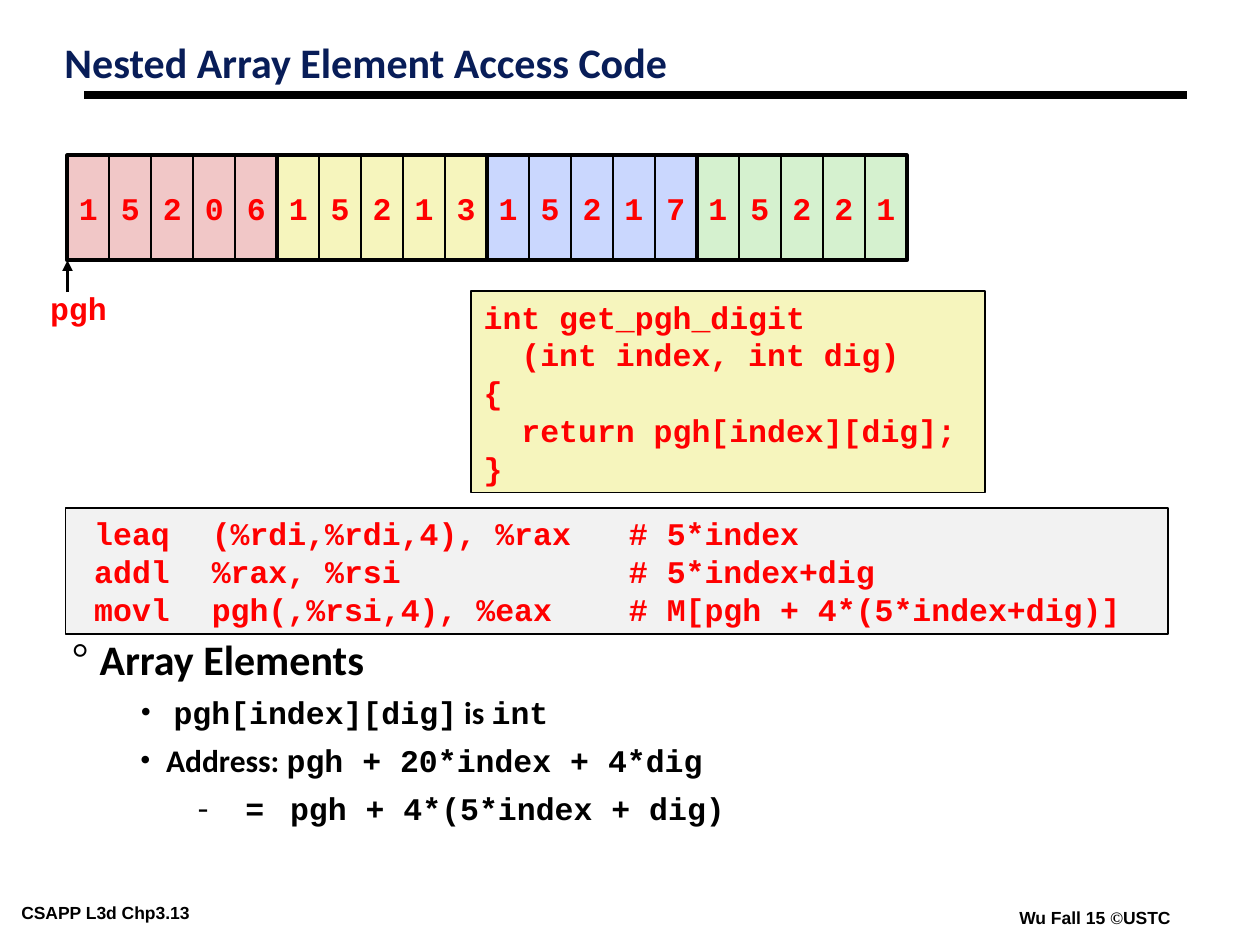
from lxml.etree import SubElement
from pptx import Presentation
from pptx.dml.color import RGBColor
from pptx.enum.shapes import MSO_CONNECTOR as Line, MSO_SHAPE as Shape
from pptx.enum.text import MSO_ANCHOR as Anchor, PP_ALIGN as Align
from pptx.oxml.ns import qn
from pptx.util import Cm, Pt

BLACK = RGBColor(0x00, 0x00, 0x00)
NAVY = RGBColor(0x08, 0x1D, 0x58)
RED = RGBColor(0xFF, 0x00, 0x00)
PINK = RGBColor(0xF1, 0xC7, 0xC7)
YELLOW = RGBColor(0xF6, 0xF5, 0xBD)
BLUE = RGBColor(0xCA, 0xD7, 0xFE)
GREEN = RGBColor(0xD5, 0xF1, 0xCF)
GRAY = RGBColor(0xF2, 0xF2, 0xF2)
MONO, SANS, ARIAL, SERIF = "Courier New", "Calibri", "Arial", "Times New Roman"

TITLE = "Nested Array Element Access Code"
ROWS = [("15206", PINK), ("15213", YELLOW), ("15217", BLUE), ("15221", GREEN)]
C_CODE = [
    "int get_pgh_digit",
    "  (int index, int dig)",
    "{",
    "  return pgh[index][dig];",
    "}",
]
ASM = [
    ("leaq", "(%rdi,%rdi,4), %rax", "# 5*index"),
    ("addl", "%rax, %rsi", "# 5*index+dig"),
    ("movl", "pgh(,%rsi,4), %eax", "# M[pgh + 4*(5*index+dig)]"),
]
ASM_TABS = [0.33, 2.7, 11.11]
# bullet, margin, hanging indent, line spacing, space before, size, runs
NOTES = [
    ("°", 0.56, 0.56, 0.75, 0, 24, [("Array Elements", SANS)]),
    ("•", 2.05, 0.67, 0.85, 9, 18,
     [("pgh[index][dig]", MONO), (" is ", SANS), ("int", MONO)]),
    ("•", 1.9, 0.53, 0.85, 9, 18,
     [("Address: ", SANS), ("pgh + 20*index + 4*dig", MONO)]),
    ("-", 3.5, 0.96, 0.85, 9, 18,
     [("= ", ARIAL), ("pgh + 4*(5*index + dig)", MONO)]),
]
FOOTERS = [
    (0.25, 18.11, 5.16, [("CSAPP L3d Chp3.13", ARIAL)]),
    (20.37, 18.21, 3.51, [("Wu Fall 15 ", ARIAL), ("©", SERIF), ("USTC", ARIAL)]),
]

LEFT, TOP, HIGH = 1.36, 3.13, 2.12
ROW_W = 4.23


def style(para, size, color, name=None):
    font = para.font
    font.size, font.bold, font.color.rgb = Pt(size), True, color
    if name:
        font.name = name


def add_runs(para, runs):
    for text, name in runs:
        run = para.add_run()
        run.text, run.font.name = text, name


def inset(frame, side, top):
    frame.margin_left = frame.margin_right = Cm(side)
    frame.margin_top = frame.margin_bottom = Cm(top)


def add_text(slide, x, y, w, h, side=0.18, top=0.08, wrap=True):
    frame = slide.shapes.add_textbox(Cm(x), Cm(y), Cm(w), Cm(h)).text_frame
    frame.word_wrap = wrap
    inset(frame, side, top)
    return frame


def add_rect(slide, x, y, w, h, fill=None, width=1):
    rect = slide.shapes.add_shape(Shape.RECTANGLE, Cm(x), Cm(y), Cm(w), Cm(h))
    rect.shadow.inherit = False
    if fill is None:
        rect.fill.background()
    else:
        rect.fill.solid()
        rect.fill.fore_color.rgb = fill
    rect.line.color.rgb, rect.line.width = BLACK, Pt(width)
    inset(rect.text_frame, 0.25, 0.13)
    return rect


def add_line(slide, x1, y1, x2, y2, width):
    line = slide.shapes.add_connector(Line.STRAIGHT, Cm(x1), Cm(y1), Cm(x2), Cm(y2))
    line.line.color.rgb, line.line.width = BLACK, Pt(width)
    SubElement(line._element.spPr, qn("a:effectLst"))
    return line


def add_code(slide, box, fill, lines, tabs=()):
    frame = add_rect(slide, *box, fill).text_frame
    frame.vertical_anchor = Anchor.TOP
    for i, text in enumerate(lines):
        para = frame.add_paragraph() if i else frame.paragraphs[0]
        para.text, para.alignment = text, Align.LEFT
        if tabs:
            stops = SubElement(para._p.get_or_add_pPr(), qn("a:tabLst"))
            for pos in tabs:
                SubElement(stops, qn("a:tab"), pos=str(Cm(pos)), algn="l")
        style(para, 18, RED, MONO)


def add_title(slide):
    title = slide.shapes.title
    title.left, title.top, title.width, title.height = map(Cm, (1.12, 0.79, 23.01, 1.6))
    frame = title.text_frame
    frame.text, frame.vertical_anchor = TITLE, Anchor.TOP
    inset(frame, 0.18, 0.08)
    para = frame.paragraphs[0]
    para.alignment, para.line_spacing = Align.LEFT, 0.87
    style(para, 24, NAVY, SANS)


def add_array(slide):
    cell_w = ROW_W / 5
    for i, (digits, fill) in enumerate(ROWS):
        x = LEFT + i * ROW_W
        for j, digit in enumerate(digits):
            frame = add_rect(slide, x + j * cell_w, TOP, cell_w, HIGH, fill).text_frame
            frame.word_wrap, frame.vertical_anchor = False, Anchor.MIDDLE
            para = frame.paragraphs[0]
            para.text, para.alignment = digit, Align.CENTER
            style(para, 18, RED, MONO)
    for i in range(len(ROWS)):
        add_rect(slide, LEFT + i * ROW_W, TOP, ROW_W, HIGH, width=2.25)
    base = TOP + HIGH
    arrow = add_line(slide, LEFT, base + 0.64, LEFT, base, 2)
    SubElement(arrow.line._get_or_add_ln(), qn("a:tailEnd"), type="triangle")
    para = add_text(slide, 0.76, 5.69, 1.65, 1.02, 0.25, 0.13, False).paragraphs[0]
    para.text = "pgh"
    style(para, 18, RED, MONO)


def add_notes(slide):
    frame = add_text(slide, 1.27, 12.93, 23.11, 4.85)
    for i, (mark, margin, hang, lines, before, size, runs) in enumerate(NOTES):
        para = frame.add_paragraph() if i else frame.paragraphs[0]
        para.line_spacing, para.space_before = lines, Pt(before)
        props = para._p.get_or_add_pPr()
        props.set("marL", str(Cm(margin)))
        props.set("indent", str(-Cm(hang)))
        SubElement(props, qn("a:buFont"), typeface=SERIF)
        SubElement(props, qn("a:buChar"), char=mark)
        style(para, size, BLACK)
        add_runs(para, runs)
    # widen the gap after the equals sign
    para.runs[0]._r.get_or_add_rPr().set("spc", "500")


def main():
    deck = Presentation()
    deck.slide_width, deck.slide_height = Cm(25.4), Cm(19.05)
    slide = deck.slides.add_slide(deck.slide_layouts[5])
    add_title(slide)
    add_line(slide, 1.7, 1.91, 23.93, 1.91, 4.5)
    for x, y, w, runs in FOOTERS:
        para = add_text(slide, x, y, w, 0.56, wrap=False).paragraphs[0]
        style(para, 10, BLACK)
        add_runs(para, runs)
    add_notes(slide)
    add_code(slide, (9.5, 5.87, 10.36, 4.06), YELLOW, C_CODE)
    asm = ["\t" + "\t".join(parts) for parts in ASM]
    add_code(slide, (1.32, 10.24, 22.23, 2.54), GRAY, asm, ASM_TABS)
    add_array(slide)
    deck.save("out.pptx")


if __name__ == "__main__":
    main()
